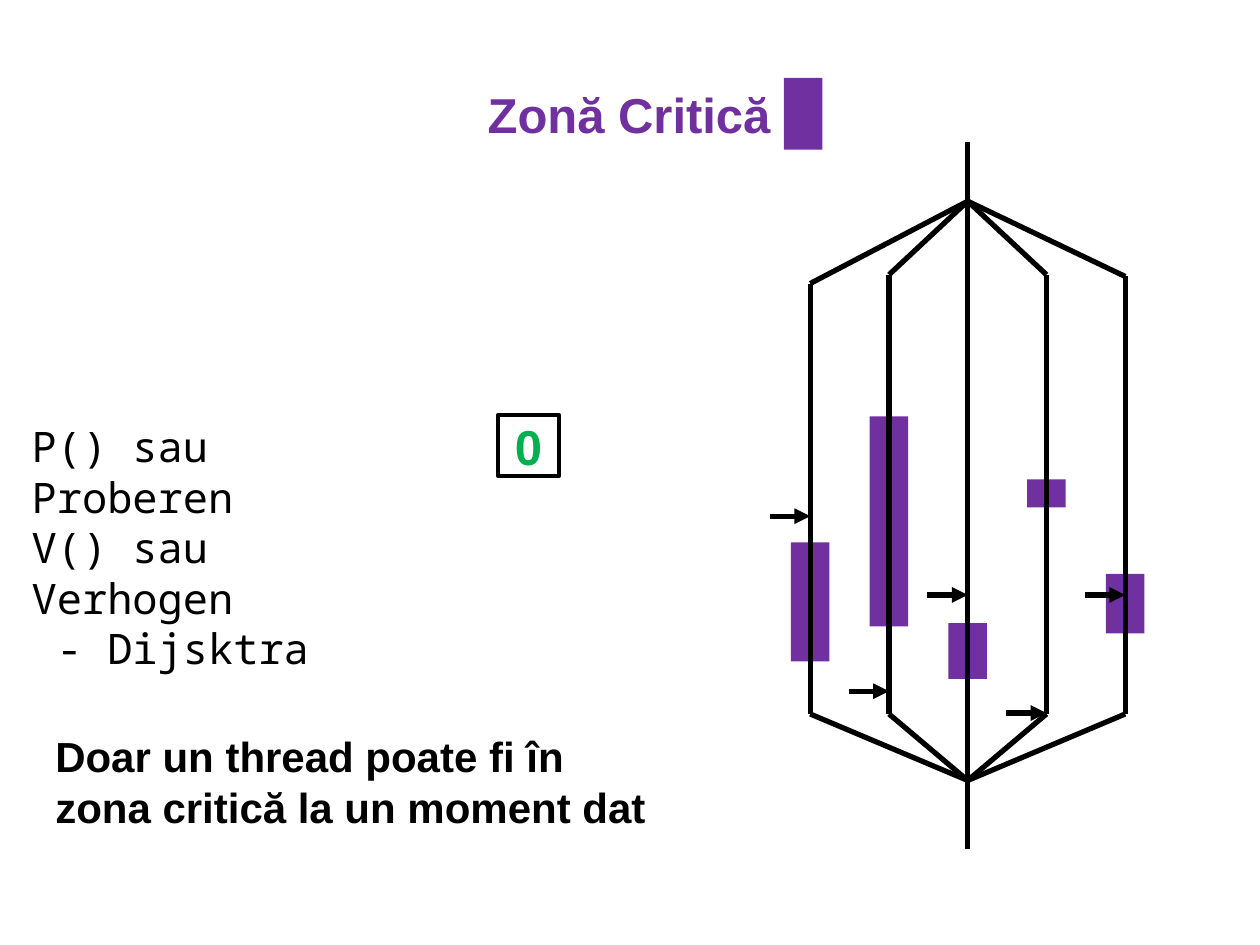
from lxml import etree
from pptx import Presentation
from pptx.dml.color import RGBColor
from pptx.enum.shapes import MSO_CONNECTOR, MSO_SHAPE
from pptx.enum.text import MSO_ANCHOR, PP_ALIGN
from pptx.oxml.ns import qn
from pptx.util import Pt

RECT = MSO_SHAPE.RECTANGLE
STRAIGHT = MSO_CONNECTOR.STRAIGHT
MIDDLE, TOP = MSO_ANCHOR.MIDDLE, MSO_ANCHOR.TOP
CENTER, LEFT = PP_ALIGN.CENTER, PP_ALIGN.LEFT

COLORS = {"zone": "7030A0", "ink": "000000", "value": "00B050"}
HEADING = {"name": "Arial", "size": Pt(28), "bold": True}
NOTE = {"name": "Arial", "size": Pt(24), "bold": True}
CODE = {"name": "Noto Sans Mono", "size": Pt(24), "bold": False}

ZONE_W = 22
ARROW_W = 23
LANE_GAP = 45
LANES = [
    {"top": 81, "zone": (229, 68), "arrow": 214},
    {"top": 76, "zone": (157, 120), "arrow": 314},
    {"top": 70, "zone": (275, 32), "arrow": 259},
    {"top": 76, "zone": (193, 16), "arrow": 326.5},
    {"top": 77, "zone": (247, 34), "arrow": 259},
]


def rgb(key):
    return RGBColor.from_string(COLORS[key])


def write(tf, lines, style, color, align=LEFT, anchor=TOP):
    tf.word_wrap = True
    tf.vertical_anchor = anchor
    for i, line in enumerate(lines):
        p = tf.paragraphs[0] if i == 0 else tf.add_paragraph()
        p.alignment = align
        r = p.add_run()
        r.text = line
        for name, value in style.items():
            setattr(r.font, name, value)
        r.font.color.rgb = rgb(color)


def add_rect(s, x, y, w, h):
    sp = s.shapes.add_shape(RECT, Pt(x), Pt(y), Pt(w), Pt(h))
    sp.shadow.inherit = False
    return sp


def add_zone(s, x, y, h):
    sp = add_rect(s, x, y, ZONE_W, h)
    sp.fill.solid()
    sp.fill.fore_color.rgb = rgb("zone")
    sp.line.fill.background()


def add_line(s, x1, y1, x2, y2, arrow=False):
    c = s.shapes.add_connector(STRAIGHT, Pt(x1), Pt(y1), Pt(x2), Pt(y2))
    c.line.color.rgb = rgb("ink")
    c.line.width = Pt(3)
    if arrow:
        etree.SubElement(c.line._get_or_add_ln(), qn("a:tailEnd"), type="triangle")
    etree.SubElement(c._element.spPr, qn("a:effectLst"))


def add_title(s, x, y, w, h):
    sp = s.shapes.title
    sp.left, sp.top, sp.width, sp.height = Pt(x), Pt(y), Pt(w), Pt(h)
    tf = sp.text_frame
    tf.margin_left = tf.margin_right = 0
    write(tf, ["Zonă Critică"], HEADING, "zone", CENTER, MIDDLE)
    tf.paragraphs[0].line_spacing = 0.95


def add_text(s, x, y, w, h, lines, style):
    tf = s.shapes.add_textbox(Pt(x), Pt(y), Pt(w), Pt(h)).text_frame
    write(tf, lines, style, "ink")
    return tf


def add_operations(s, x, y, w, h):
    lines = ["P() sau Proberen", "V() sau Verhogen", "- Dijsktra"]
    tf = add_text(s, x, y, w, h, lines, CODE)
    pPr = tf.paragraphs[-1]._p.get_or_add_pPr()
    pPr.set("marL", str(Pt(14.4)))


def add_semaphore(s, x, y, size):
    sp = add_rect(s, x, y, size, size)
    sp.fill.background()
    sp.line.color.rgb = rgb("ink")
    sp.line.width = Pt(2)
    write(sp.text_frame, ["0"], HEADING, "value", CENTER, MIDDLE)


def add_threads(s, x, y, h):
    lanes = [(x + 24 + i * LANE_GAP, lane) for i, lane in enumerate(LANES)]
    mid = lanes[len(lanes) // 2][0]
    fork, lane_end, join = y + 34, y + 327, y + 365

    for lane_x, lane in lanes:
        top, height = lane["zone"]
        add_zone(s, lane_x - ZONE_W / 2, y + top, height)

    add_line(s, mid, y, mid, fork)
    for lane_x, lane in lanes:
        start = y + lane["top"]
        add_line(s, mid, fork, lane_x, start)
        add_line(s, lane_x, start, lane_x, lane_end)
        add_line(s, lane_x, lane_end, mid, join)
    add_line(s, mid, join, mid, y + h)

    for lane_x, lane in lanes:
        arrow_y = y + lane["arrow"]
        add_line(s, lane_x - ARROW_W, arrow_y, lane_x, arrow_y, arrow=True)


def main():
    prs = Presentation()
    prs.slide_width, prs.slide_height = Pt(720), Pt(540)
    s = prs.slides.add_slide(prs.slide_layouts[5])
    add_title(s, 24.5, 49, 670, 36)
    add_zone(s, 448, 44.5, 41)
    add_threads(s, 439, 81, 404)
    add_operations(s, 11, 237, 229, 151)
    add_semaphore(s, 284.5, 237, 35)
    add_text(s, 24.5, 414, 362, 65.5,
             ["Doar un thread poate fi în zona critică la un moment dat"], NOTE)
    prs.save("out.pptx")


if __name__ == "__main__":
    main()
